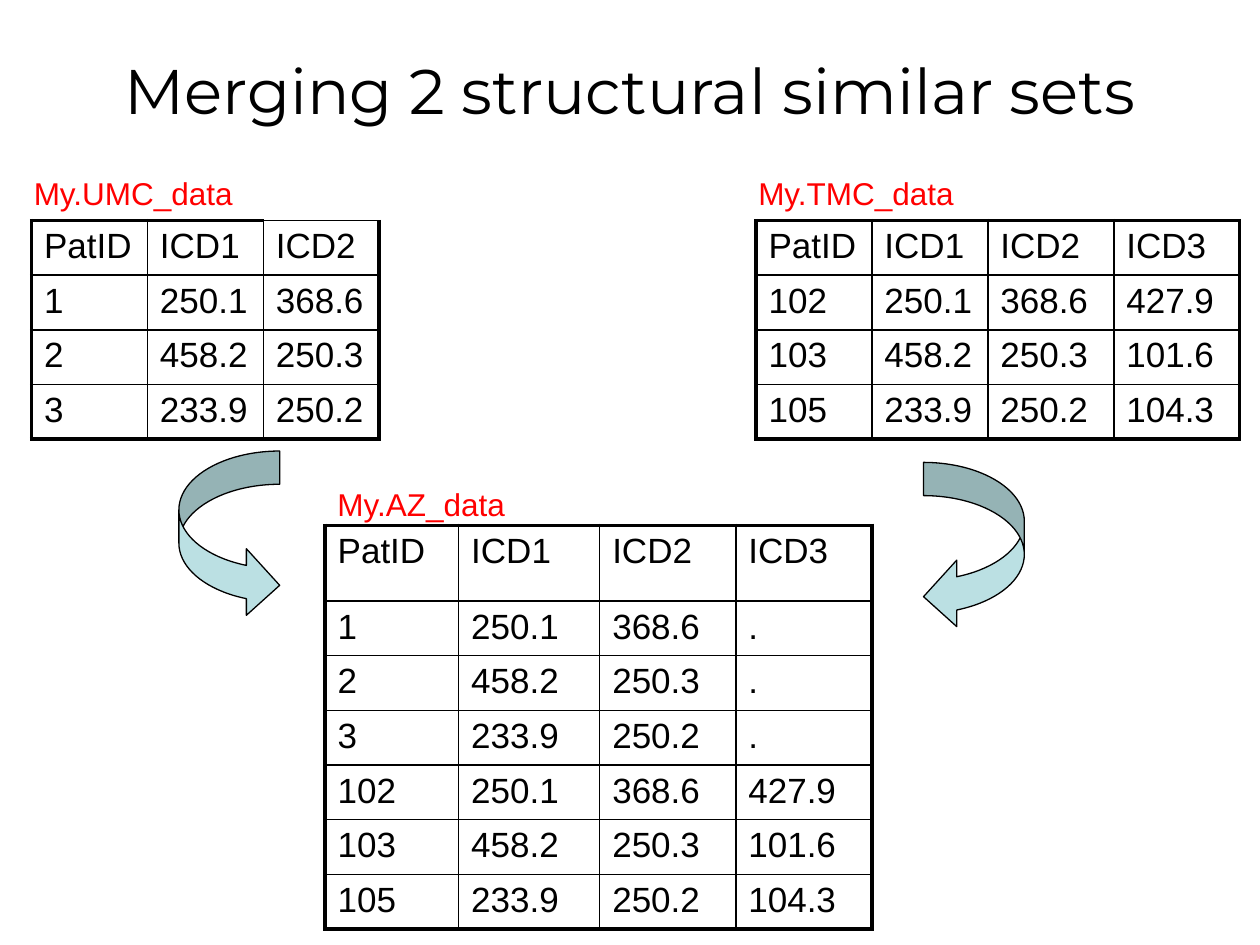
from lxml import etree
from pptx import Presentation
from pptx.dml.color import RGBColor
from pptx.enum import shapes, text
from pptx.oxml.ns import qn
from pptx.util import Inches, Pt

BLACK = RGBColor(0, 0, 0)
RED = RGBColor(255, 0, 0)
TEAL = RGBColor(0xBB, 0xE0, 0xE3)
THIN, THICK = 1, 2.25

UMC_ROWS = [["1", "250.1", "368.6"], ["2", "458.2", "250.3"], ["3", "233.9", "250.2"]]
TMC_ROWS = [
    ["102", "250.1", "368.6", "427.9"],
    ["103", "458.2", "250.3", "101.6"],
    ["105", "233.9", "250.2", "104.3"],
]
HEADER = ["PatID", "ICD1", "ICD2", "ICD3"]
MERGED_ROWS = [row + ["."] for row in UMC_ROWS] + TMC_ROWS


def add_run(p, content, size, font, color):
    r = p.add_run()
    r.text = content
    r.font.size = Pt(size)
    r.font.name = font
    r.font.color.rgb = color


def add_title(s, content):
    sp = s.shapes.add_textbox(Inches(0), Inches(0.08), Inches(10), Inches(1.25))
    tf = sp.text_frame
    tf.word_wrap = True
    tf.vertical_anchor = text.MSO_ANCHOR.MIDDLE
    p = tf.paragraphs[0]
    p.alignment = text.PP_ALIGN.CENTER
    add_run(p, content, 36, "Montserrat", BLACK)


def add_label(s, content, left, top, width):
    sp = s.shapes.add_textbox(Inches(left), Inches(top), Inches(width), Inches(0.4))
    tf = sp.text_frame
    tf.word_wrap = False
    tf.auto_size = text.MSO_AUTO_SIZE.SHAPE_TO_FIT_TEXT
    add_run(tf.paragraphs[0], content, 18, "Arial", RED)


def set_borders(cell, widths):
    tc_pr = cell._tc.get_or_add_tcPr()
    for i, (side, width) in enumerate(zip("LRTB", widths)):
        ln = etree.Element(qn(f"a:ln{side}"), w=str(Pt(width)))
        fill = etree.SubElement(ln, qn("a:solidFill"))
        etree.SubElement(fill, qn("a:srgbClr"), val=str(BLACK))
        tc_pr.insert(i, ln)


def add_data_table(s, rows, left, top, col_widths, row_heights, thin_corner=False):
    n_rows, n_cols = len(rows), len(col_widths)
    frame = s.shapes.add_table(
        n_rows, n_cols, Inches(left), Inches(top),
        Inches(sum(col_widths)), Inches(sum(row_heights)))
    table = frame.table
    table.first_row = table.horz_banding = False
    for column, width in zip(table.columns, col_widths):
        column.width = Inches(width)
    for row, height in zip(table.rows, row_heights):
        row.height = Inches(height)
    for i, values in enumerate(rows):
        for j, value in enumerate(values):
            cell = table.cell(i, j)
            cell.fill.background()
            add_run(cell.text_frame.paragraphs[0], value, 20, "Arial", BLACK)
            corner = thin_corner and i == 0 and j == n_cols - 1
            outer = (j == 0, j == n_cols - 1, i == 0 and not corner, i == n_rows - 1)
            set_borders(cell, [THICK if edge else THIN for edge in outer])


def add_curved_arrow(s, kind, left, top):
    sp = s.shapes.add_shape(kind, Inches(left), Inches(top), Inches(0.8), Inches(1.33))
    sp.shadow.inherit = False
    sp.fill.solid()
    sp.fill.fore_color.rgb = TEAL
    sp.line.color.rgb = BLACK
    sp.line.width = Pt(0.75)
    for i, value in enumerate((0.33, 0.66, 0.33)):
        sp.adjustments[i] = value


def main():
    prs = Presentation()
    prs.slide_width, prs.slide_height = Inches(10), Inches(7.5)
    s = prs.slides.add_slide(prs.slide_layouts[6])

    add_title(s, "Merging 2 structural similar sets")
    source_heights = [0.42, 0.41, 0.39, 0.37]
    add_data_table(s, [HEADER[:3]] + UMC_ROWS, 0.25, 1.75, [0.92] * 3,
                   source_heights, thin_corner=True)
    add_data_table(s, [HEADER] + TMC_ROWS, 6, 1.75, [0.92, 0.92, 1, 1], source_heights)
    add_data_table(s, [HEADER] + MERGED_ROWS, 2.58, 4.17, [1.06, 1.12, 1.08, 1.08],
                   [0.6, 0.37, 0.33, 0.4, 0.4, 0.39, 0.37])
    add_curved_arrow(s, shapes.MSO_SHAPE.CURVED_RIGHT_ARROW, 1.42, 3.58)
    add_curved_arrow(s, shapes.MSO_SHAPE.CURVED_LEFT_ARROW, 7.33, 3.67)
    add_label(s, "My.UMC_data", 0.17, 1.33, 1.8)
    add_label(s, "My.TMC_data", 5.92, 1.33, 1.77)
    add_label(s, "My.AZ_data", 2.58, 3.8, 1.55)

    prs.save("out.pptx")


if __name__ == "__main__":
    main()
